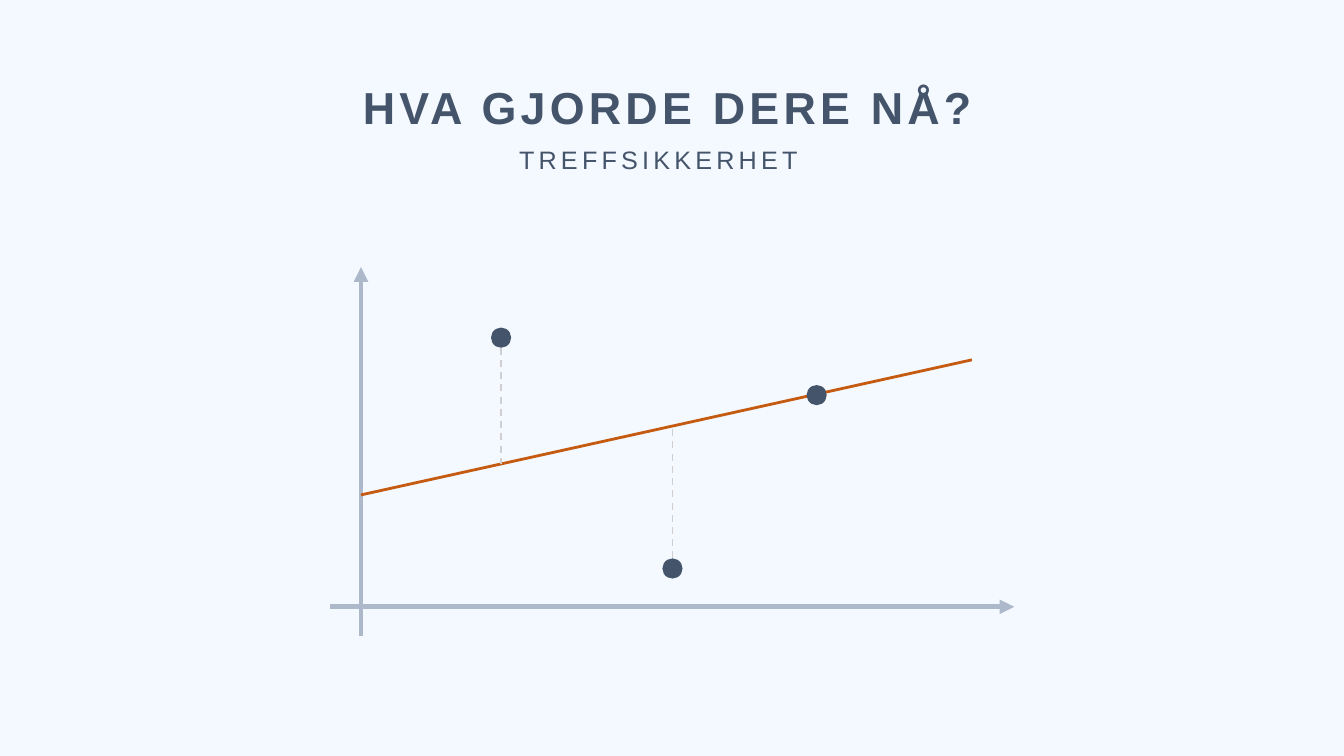
from lxml import etree
from pptx import Presentation
from pptx import util as u
from pptx.dml.color import RGBColor
from pptx.enum import dml, shapes, text
from pptx.oxml.ns import qn

DARK, AXIS, TREND, RESIDUAL = "44546A", "ADB9CA", "C55A11", "D0CECE"

presentation = Presentation()
presentation.slide_width = u.Inches(13.33)
presentation.slide_height = u.Inches(7.5)
slide = presentation.slides.add_slide(presentation.slide_layouts[6])


def paint(fill, color):
    fill.solid()
    fill.fore_color.rgb = RGBColor.from_string(color)


def add_text(content, left, top, width, height, size, bold=False):
    box = slide.shapes.add_textbox(*map(u.Inches, (left, top, width, height)))
    frame = box.text_frame
    frame.word_wrap = False
    frame.auto_size = text.MSO_AUTO_SIZE.SHAPE_TO_FIT_TEXT
    run = frame.paragraphs[0].add_run()
    run.text = content
    run.font.name = "Arial"
    run.font.size = u.Pt(size)
    run.font.bold = bold
    paint(run.font.fill, DARK)
    run.font._element.set("spc", "300")


paint(slide.background.fill, "F4F9FF")
add_text("HVA GJORDE DERE NÅ?", 3.5, 0.74, 6.34, 0.64, size=32, bold=True)
add_text("TREFFSIKKERHET", 5.05, 1.38, 3.03, 0.4, size=18)

diagram = slide.shapes.add_group_shape()
lines = [
    ((3.27, 6.02, 10.06, 6.02), AXIS, 3.5),
    ((3.58, 6.31, 3.58, 2.65), AXIS, 3.5),
    ((3.58, 4.91, 9.64, 3.57), TREND, 2),
    ((4.97, 3.45, 4.97, 4.6), RESIDUAL, 1.25),
    ((6.67, 5.54, 6.67, 4.24), RESIDUAL, 1.25),
]
for ends, color, width in lines:
    connector = diagram.shapes.add_connector(
        shapes.MSO_CONNECTOR.STRAIGHT, *map(u.Inches, ends))
    connector.line.width = u.Pt(width)
    paint(connector.line.fill, color)
    if color == RESIDUAL:
        connector.line.dash_style = dml.MSO_LINE.DASH
    if color == AXIS:
        etree.SubElement(connector.line._get_or_add_ln(), qn("a:tailEnd"), type="triangle")
    etree.SubElement(connector._element.spPr, qn("a:effectLst"))

diameter = 0.2
for center_x, center_y in [(4.97, 3.35), (8.1, 3.92), (6.67, 5.64)]:
    point = diagram.shapes.add_shape(
        shapes.MSO_SHAPE.OVAL,
        u.Inches(center_x - diameter / 2), u.Inches(center_y - diameter / 2),
        u.Inches(diameter), u.Inches(diameter))
    point.shadow.inherit = False
    paint(point.fill, DARK)
    point.line.fill.background()

presentation.save("out.pptx")
